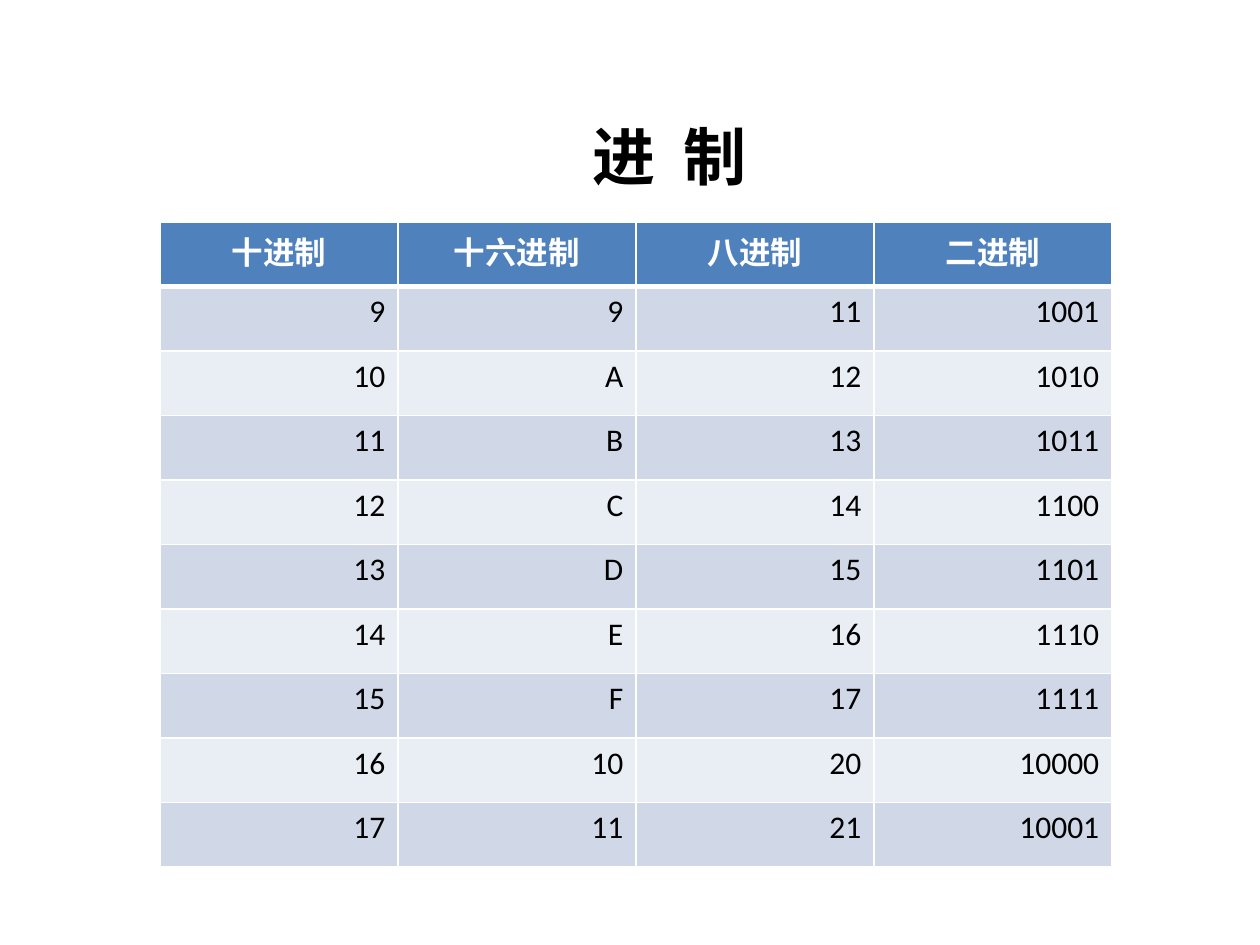
from pptx import Presentation
from pptx.dml.color import RGBColor as Rgb
from pptx.enum.text import MSO_ANCHOR as Anchor, PP_ALIGN as Align
from pptx.oxml.ns import qn
from pptx.util import Pt
from lxml.etree import SubElement as Sub

PX = 914400 / 126
INK = {"black": "000000", "white": "FFFFFF", "head": "4F81BD",
       "odd": "D0D8E8", "even": "E9EDF4"}


def write(frame, text, size, ink, bold, align):
    para = frame.paragraphs[0]
    para.alignment = align
    run = para.add_run()
    run.text = text
    font = run.font
    font.name, font.size, font.bold = "Calibri", Pt(size), bold
    font.color.rgb = Rgb.from_string(INK[ink])


def edge(cell, side, width):
    line = Sub(cell._tc.get_or_add_tcPr(), qn("a:ln" + side), w=str(Pt(width)))
    fill = Sub(line, qn("a:solidFill"))
    Sub(fill, qn("a:srgbClr"), val=INK["white"])


deck = Presentation()
deck.slide_width, deck.slide_height = round(1260 * PX), round(945 * PX)
slide = deck.slides.add_slide(deck.slide_layouts[6])

# Title
box = slide.shapes.add_textbox(*[round(n * PX) for n in (471, 96, 397, 118)])
box.text_frame.word_wrap = True
box.text_frame.vertical_anchor = Anchor.MIDDLE
write(box.text_frame, "进  制", 36, "black", True, Align.CENTER)

# Rows: each number in base 10, 16, 8 and 2
rows = [["十进制", "十六进制", "八进制", "二进制"]]
for num in range(9, 18):
    rows.append([format(num, base) for base in "dXob"])

# Table
area = [round(n * PX) for n in (160, 222, 952, 645)]
table = slide.shapes.add_table(len(rows), len(rows[0]), *area).table
for col in table.columns:
    col.width = area[2] // len(rows[0])
for row in table.rows:
    row.height = area[3] // len(rows)

# Cells: blue header, then banded rows
for r, row in enumerate(rows):
    top = r == 0
    band = "head" if top else "odd" if r % 2 else "even"
    for c, text in enumerate(row):
        cell = table.cell(r, c)
        edge(cell, "L", 1)
        edge(cell, "R", 1)
        edge(cell, "T", 3 if r == 1 else 1)
        edge(cell, "B", 3 if top else 1)
        cell.fill.solid()
        cell.fill.fore_color.rgb = Rgb.from_string(INK[band])
        write(cell.text_frame, text, 18, "white" if top else "black",
              top, Align.CENTER if top else Align.RIGHT)

deck.save("out.pptx")
